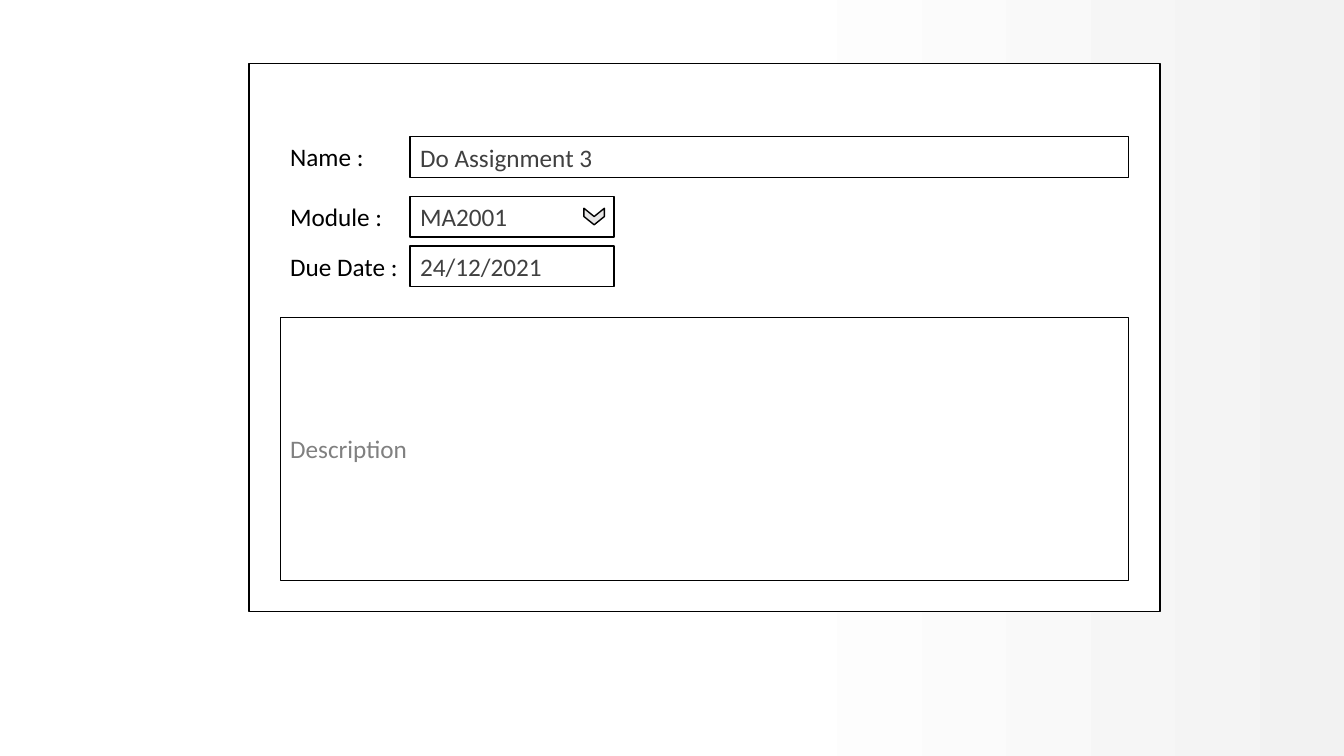
"""Build a slide showing a task entry form."""
from copy import deepcopy

from pptx import Presentation
from pptx.dml.color import RGBColor
from pptx.enum.shapes import MSO_SHAPE
from pptx.enum.text import MSO_ANCHOR, MSO_AUTO_SIZE, PP_ALIGN
from pptx.oxml.ns import qn
from pptx.util import Pt

BLACK = RGBColor(0x00, 0x00, 0x00)
WHITE = RGBColor(0xFF, 0xFF, 0xFF)
PALE_GRAY = RGBColor(0xF2, 0xF2, 0xF2)
ICON_GRAY = RGBColor(0xE7, 0xE6, 0xE6)
VALUE_GRAY = RGBColor(0x40, 0x40, 0x40)
HINT_GRAY = RGBColor(0x80, 0x80, 0x80)

LABEL_LEFT, FIELD_LEFT, FORM_RIGHT = 200.2, 293, 806.3
ROW_HEIGHT = 29.1
SHORT_WIDTH = 145.5
ROWS = [
    ("Name :", "Do Assignment 3", 97.7, FORM_RIGHT - FIELD_LEFT),
    ("Module :", "MA2001", 140.2, SHORT_WIDTH),
    ("Due Date :", "24/12/2021", 175.7, SHORT_WIDTH),
]


def set_background(slide):
    fill = slide.background.fill
    fill.gradient()
    fill.gradient_angle = 180
    edge, middle = fill.gradient_stops
    edge.position, edge.color.rgb = 0, PALE_GRAY
    middle.position, middle.color.rgb = 0.44, WHITE
    last = list(slide.element.iter(qn("a:gs")))[-1]
    end = deepcopy(last)
    end.set("pos", "100000")
    last.addnext(end)


def write(sp, text, color):
    tf = sp.text_frame
    tf.word_wrap = True
    p = tf.paragraphs[0]
    p.text = text
    p.alignment = PP_ALIGN.LEFT
    p.font.name = "Calibri"
    p.font.size = Pt(18)
    p.font.color.rgb = color


def add_outlined(slide, kind, left, top, width, height, fill=WHITE):
    sp = slide.shapes.add_shape(kind, Pt(left), Pt(top), Pt(width), Pt(height))
    sp.shadow.inherit = False
    if fill is None:
        sp.fill.background()
    else:
        sp.fill.solid()
        sp.fill.fore_color.rgb = fill
    sp.line.color.rgb = BLACK
    sp.line.width = Pt(1)
    return sp


def add_field(slide, text, left, top, width, height, color=VALUE_GRAY, fill=WHITE):
    sp = add_outlined(slide, MSO_SHAPE.RECTANGLE, left, top, width, height, fill)
    sp.text_frame.vertical_anchor = MSO_ANCHOR.MIDDLE
    write(sp, text, color)


def add_label(slide, text, top):
    sp = slide.shapes.add_textbox(Pt(LABEL_LEFT), Pt(top), Pt(108.5), Pt(ROW_HEIGHT))
    write(sp, text, BLACK)
    sp.text_frame.auto_size = MSO_AUTO_SIZE.SHAPE_TO_FIT_TEXT


def main():
    prs = Presentation()
    prs.slide_width, prs.slide_height = Pt(960), Pt(540)
    slide = prs.slides.add_slide(prs.slide_layouts[6])
    set_background(slide)
    add_outlined(slide, MSO_SHAPE.RECTANGLE, 177.8, 45.4, 650.9, 391.4)
    for label, value, top, width in ROWS:
        add_field(slide, value, FIELD_LEFT, top, width, ROW_HEIGHT)
        add_label(slide, label, top)
    arrow = add_outlined(slide, MSO_SHAPE.CHEVRON, 418.5, 147.4, 11.8, 14.6, ICON_GRAY)
    arrow.rotation = 90
    add_field(slide, "Description", LABEL_LEFT, 226.8, FORM_RIGHT - LABEL_LEFT,
              187.7, HINT_GRAY, None)
    prs.save("out.pptx")


if __name__ == "__main__":
    main()
